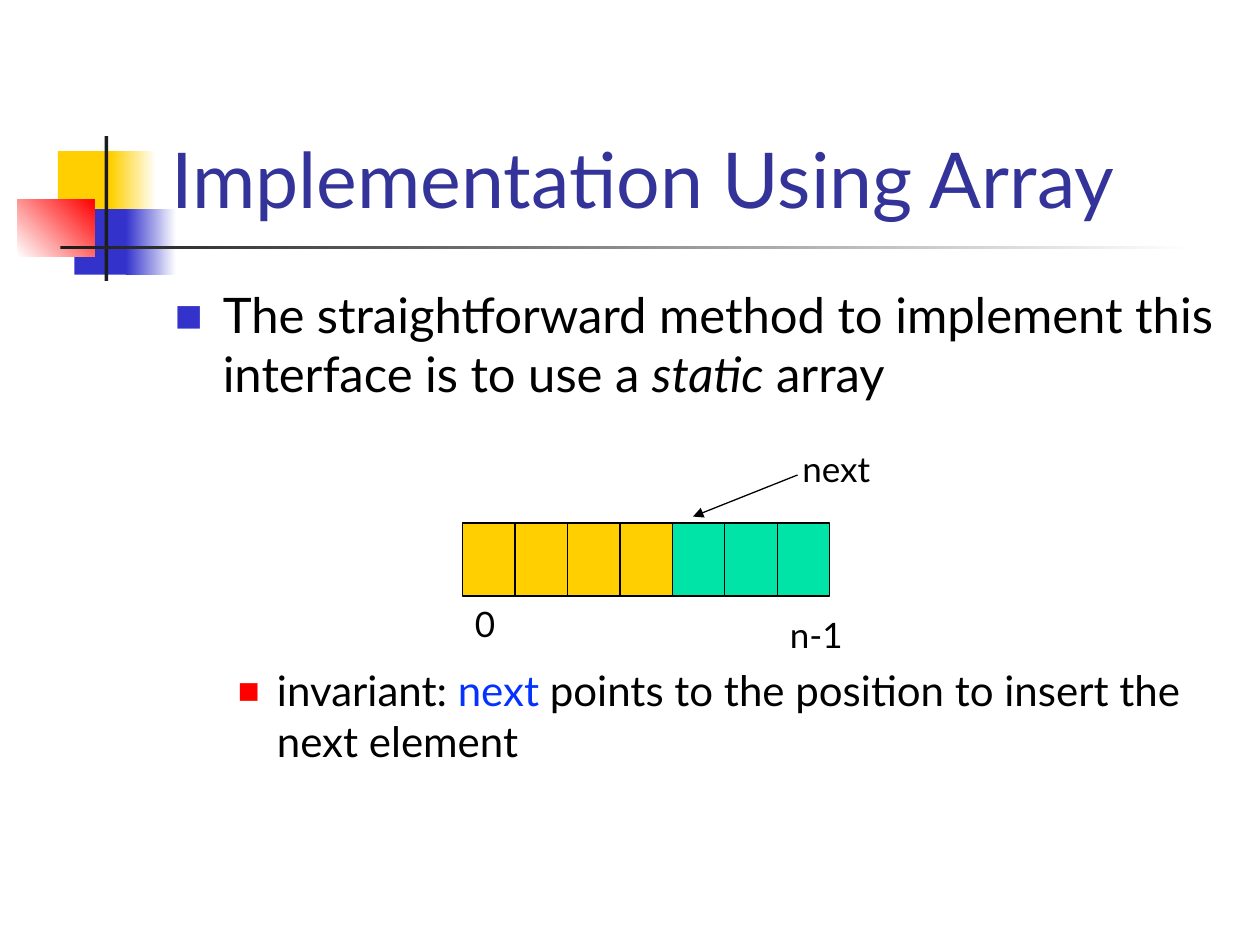
from dataclasses import dataclass

from lxml import etree
from pptx import Presentation
from pptx.dml.color import RGBColor
from pptx.enum.shapes import MSO_CONNECTOR, MSO_SHAPE
from pptx.enum.text import MSO_ANCHOR, MSO_AUTO_SIZE
from pptx.oxml.ns import qn
from pptx.util import Inches, Pt

RECTANGLE = MSO_SHAPE.RECTANGLE
STRAIGHT = MSO_CONNECTOR.STRAIGHT
BOTTOM, TOP = MSO_ANCHOR.BOTTOM, MSO_ANCHOR.TOP
FIT_SHAPE, FIXED = MSO_AUTO_SIZE.SHAPE_TO_FIT_TEXT, MSO_AUTO_SIZE.NONE


@dataclass(frozen=True)
class Theme:
    font: str = "Lato"
    title_size: int = 44
    body_size: int = 28
    detail_size: int = 24
    label_size: int = 20
    white: str = "FFFFFF"
    black: str = "000000"
    charcoal: str = "1C1C1C"
    title: str = "333399"
    yellow: str = "FFCF01"
    blue: str = "3333CC"
    red: str = "FF0000"
    green: str = "00E4A8"
    keyword: str = "0432FF"


@dataclass(frozen=True)
class Box:
    left: float
    top: float
    width: float
    height: float

    def lengths(self) -> tuple:
        return tuple(Inches(v) for v in (self.left, self.top, self.width, self.height))


@dataclass(frozen=True)
class Block:
    box: Box
    start: str
    end: str = ""
    angle: int = 0
    outline: str = ""


@dataclass(frozen=True)
class Label:
    text: str
    box: Box


@dataclass(frozen=True)
class Bullet:
    color: str
    percent: int
    indent: float
    hanging: float


THEME = Theme()

ORNAMENT = [
    Block(Box(0.46, 1.2, 0.48, 0.52), THEME.yellow),
    Block(Box(0.88, 1.2, 0.36, 0.52), THEME.yellow, THEME.white),
    Block(Box(0.59, 1.66, 0.46, 0.52), THEME.blue),
    Block(Box(1, 1.66, 0.4, 0.52), THEME.blue, THEME.white),
    Block(Box(0.14, 1.58, 0.61, 0.46), THEME.white, THEME.red, 45),
    Block(Box(0.83, 1.08, 0.03, 1.15), THEME.charcoal),
    Block(Box(0.48, 1.95, 9, 0.03), THEME.charcoal, THEME.white),
]

ARRAY_LEFT, ARRAY_TOP, CELL_HEIGHT = 3.67, 4.15, 0.58
CELL_WIDTH = 2.5 / 6
USED_CELLS, FREE_CELLS = 4, 3

LABELS = [
    Label("0", Box(ARRAY_LEFT, 4.73, 0.33, 0.43)),
    Label("n-1", Box(6.17, 4.82, 0.75, 0.43)),
    Label("next", Box(6.27, 3.5, 0.9, 0.43)),
]


def rgb(color: str) -> RGBColor:
    return RGBColor.from_string(color)


def draw_block(slide, block: Block) -> None:
    rect = slide.shapes.add_shape(RECTANGLE, *block.box.lengths())
    rect.shadow.inherit = False
    if block.end:
        rect.fill.gradient()
        rect.fill.gradient_angle = block.angle
        for stop, color in zip(rect.fill.gradient_stops, (block.start, block.end)):
            stop.color.rgb = rgb(color)
    else:
        rect.fill.solid()
        rect.fill.fore_color.rgb = rgb(block.start)
    if block.outline:
        rect.line.color.rgb = rgb(block.outline)
        rect.line.width = Pt(0.75)
    else:
        rect.line.fill.background()


def add_text(slide, box: Box, anchor=TOP, auto_size=FIXED):
    frame = slide.shapes.add_textbox(*box.lengths()).text_frame
    frame.word_wrap = True
    frame.vertical_anchor = anchor
    frame.auto_size = auto_size
    return frame


def style(paragraph, size: int, color: str = THEME.black) -> None:
    paragraph.font.name = THEME.font
    paragraph.font.size = Pt(size)
    paragraph.font.color.rgb = rgb(color)


def add_bullet(paragraph, bullet: Bullet) -> None:
    properties = paragraph._p.get_or_add_pPr()
    properties.set("marL", str(Inches(bullet.indent)))
    properties.set("indent", str(-Inches(bullet.hanging)))
    color = etree.SubElement(properties, qn("a:buClr"))
    etree.SubElement(color, qn("a:srgbClr"), val=bullet.color)
    etree.SubElement(properties, qn("a:buSzPct"), val=str(bullet.percent * 1000))
    etree.SubElement(properties, qn("a:buFont"), typeface=THEME.font)
    etree.SubElement(properties, qn("a:buChar"), char="■")


def add_runs(paragraph, *texts: str) -> list:
    runs = []
    for text in texts:
        run = paragraph.add_run()
        run.text = text
        runs.append(run)
    return runs


def draw_label(slide, label: Label) -> None:
    paragraph = add_text(slide, label.box, auto_size=FIT_SHAPE).paragraphs[0]
    paragraph.text = label.text
    style(paragraph, THEME.label_size)


def draw_arrow(slide, start: tuple[float, float], end: tuple[float, float]) -> None:
    arrow = slide.shapes.add_connector(STRAIGHT, *(Inches(v) for v in start + end))
    arrow.line.color.rgb = rgb(THEME.black)
    arrow.line.width = Pt(0.75)
    etree.SubElement(arrow.line._get_or_add_ln(), qn("a:tailEnd"), type="triangle")
    etree.SubElement(arrow._element.spPr, qn("a:effectLst"))


def draw_title(slide) -> None:
    title = add_text(slide, Box(1.26, 0.23, 8.52, 1.6), BOTTOM).paragraphs[0]
    title.text = "Implementation Using Array"
    style(title, THEME.title_size, THEME.title)


def draw_body(slide) -> None:
    body = add_text(slide, Box(1.29, 2.21, 8.5, 4.5))
    method = body.paragraphs[0]
    add_bullet(method, Bullet(THEME.blue, 60, 0.38, 0.38))
    style(method, THEME.body_size)
    _, static, _ = add_runs(
        method,
        "The straightforward method to implement this interface is to use a ",
        "static",
        " array",
    )
    static.font.italic = True

    invariant = body.add_paragraph()
    invariant.space_before = Pt(150)
    add_bullet(invariant, Bullet(THEME.red, 55, 0.81, 0.31))
    style(invariant, THEME.detail_size)
    _, keyword, _ = add_runs(
        invariant, "invariant: ", "next", " points to the position to insert the next element"
    )
    keyword.font.color.rgb = rgb(THEME.keyword)


def draw_array(slide) -> None:
    colors = [THEME.yellow] * USED_CELLS + [THEME.green] * FREE_CELLS
    for index, color in enumerate(colors):
        cell = Box(ARRAY_LEFT + index * CELL_WIDTH, ARRAY_TOP, CELL_WIDTH, CELL_HEIGHT)
        draw_block(slide, Block(cell, color, outline=THEME.black))
    for label in LABELS:
        draw_label(slide, label)
    draw_arrow(slide, (6.33, 3.77), (5.5, 4.1))


def main() -> None:
    deck = Presentation()
    deck.slide_width, deck.slide_height = Inches(10), Inches(7.5)
    slide = deck.slides.add_slide(deck.slide_layouts[6])
    for block in ORNAMENT:
        draw_block(slide, block)
    draw_title(slide)
    draw_body(slide)
    draw_array(slide)
    deck.save("out.pptx")


if __name__ == "__main__":
    main()
